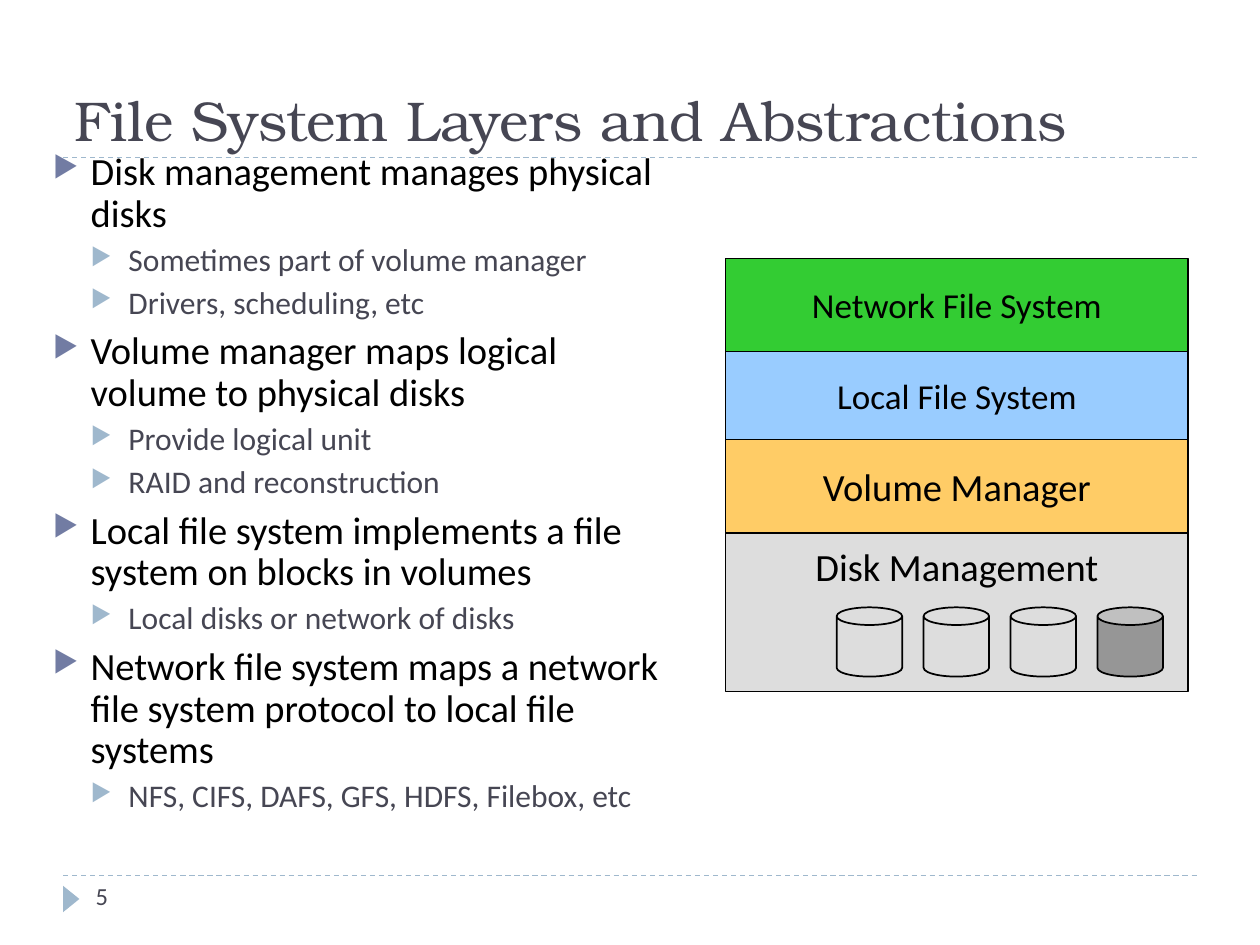
import pptx
import pptx.dml.color
import pptx.enum.dml
import pptx.enum.shapes
import pptx.enum.text
import pptx.oxml.ns
import pptx.util
from lxml import etree

Inches = pptx.util.Inches
Pt = pptx.util.Pt
RGBColor = pptx.dml.color.RGBColor
Shape = pptx.enum.shapes.MSO_SHAPE
Anchor = pptx.enum.text.MSO_ANCHOR
Align = pptx.enum.text.PP_ALIGN
qn = pptx.oxml.ns.qn

BLACK = RGBColor(0x00, 0x00, 0x00)
SLATE = RGBColor(0x46, 0x46, 0x53)
INDIGO = RGBColor(0x72, 0x7C, 0xA3)
PALE_BLUE = RGBColor(0x9F, 0xB8, 0xCD)
GREEN = RGBColor(0x33, 0xCC, 0x33)
SKY = RGBColor(0x99, 0xCC, 0xFF)
ORANGE = RGBColor(0xFF, 0xCC, 0x66)
LIGHT_GREY = RGBColor(0xDD, 0xDD, 0xDD)
DARK_GREY = RGBColor(0x96, 0x96, 0x96)

# Per outline level: size, text colour, bullet colour, space before
LEVELS = [(22, BLACK, INDIGO, 6), (18, SLATE, PALE_BLUE, 5)]

OUTLINE = [
    ("Disk management manages physical disks",
     ["Sometimes part of volume manager", "Drivers, scheduling, etc"]),
    ("Volume manager maps logical volume to physical disks",
     ["Provide logical unit", "RAID and reconstruction"]),
    ("Local file system implements a file system on blocks in volumes",
     ["Local disks or network of disks"]),
    ("Network file system maps a network file system protocol to local file systems",
     ["NFS, CIFS, DAFS, GFS, HDFS, Filebox, etc"]),
]

# Stack from top to bottom: label, height, fill, text size, anchor
LAYERS = [
    ("Network File System", 0.74, GREEN, 20, Anchor.MIDDLE),
    ("Local File System", 0.7, SKY, 20, Anchor.MIDDLE),
    ("Volume Manager", 0.74, ORANGE, 22, Anchor.MIDDLE),
    ("Disk Management", 1.26, LIGHT_GREY, 22, Anchor.TOP),
]


class SlideBuilder:
    body_font = "Calibri"
    title_font = "TeX Gyre Bonum"

    def __init__(self, slide):
        self.slide = slide

    def set_font(self, paragraph, size, color, name=None):
        paragraph.font.name = name or self.body_font
        paragraph.font.size = Pt(size)
        paragraph.font.color.rgb = color

    def set_frame(self, frame, anchor, wrap=True, top=0.04):
        frame.word_wrap = wrap
        frame.vertical_anchor = anchor
        frame.margin_left = frame.margin_right = Inches(0.09)
        frame.margin_top, frame.margin_bottom = Inches(top), Inches(0.04)

    def text_frame(self, left, top, width, height, anchor=Anchor.TOP):
        box = self.slide.shapes.add_textbox(
            Inches(left), Inches(top), Inches(width), Inches(height))
        self.set_frame(box.text_frame, anchor)
        return box.text_frame

    def text(self, words, bounds, size, anchor=Anchor.TOP, font=None):
        paragraph = self.text_frame(*bounds, anchor).paragraphs[0]
        paragraph.text = words
        self.set_font(paragraph, size, SLATE, font)

    def outline(self, topics, bounds):
        frame = self.text_frame(*bounds)
        entries = [entry for topic, details in topics
                   for entry in [(topic, 0)] + [(detail, 1) for detail in details]]
        for index, (words, level) in enumerate(entries):
            paragraph = frame.add_paragraph() if index else frame.paragraphs[0]
            size, color, bullet_color, space = LEVELS[level]
            paragraph.text = words
            paragraph.level = level
            paragraph.line_spacing = 0.9
            paragraph.space_before = Pt(space)
            self.set_font(paragraph, size, color)
            self.bullet(paragraph, level, bullet_color)

    def bullet(self, paragraph, level, color):
        properties = paragraph._p.get_or_add_pPr()
        properties.set("marL", str(Inches(0.3 * (level + 1))))
        properties.set("indent", str(Inches(-0.3)))
        marks = [etree.Element(qn("a:buClr")),
                 etree.Element(qn("a:buSzPct"), val="76000"),
                 etree.Element(qn("a:buChar"), char="▶")]
        etree.SubElement(marks[0], qn("a:srgbClr"), val=str(color))
        defaults = properties.find(qn("a:defRPr"))
        for mark in marks:
            defaults.addprevious(mark)

    def shape(self, kind, left, top, width, height, fill=None, line_width=None):
        shape = self.slide.shapes.add_shape(
            kind, Inches(left), Inches(top), Inches(width), Inches(height))
        shape.shadow.inherit = False
        if fill is None:
            shape.fill.background()
        else:
            shape.fill.solid()
            shape.fill.fore_color.rgb = fill
        if line_width is None:
            shape.line.fill.background()
        else:
            shape.line.color.rgb = BLACK
            shape.line.width = Pt(line_width)
        return shape

    def layer(self, label, bounds, fill, size, anchor):
        block = self.shape(Shape.RECTANGLE, *bounds, fill, 0.75)
        self.set_frame(block.text_frame, anchor, wrap=False,
                       top=0.08 if anchor == Anchor.TOP else 0.04)
        paragraph = block.text_frame.paragraphs[0]
        paragraph.text = label
        paragraph.alignment = Align.CENTER
        self.set_font(paragraph, size, BLACK)

    def disk(self, left, fill=None):
        can = self.shape(Shape.CAN, left, 4.82, 0.52, 0.55, fill, 1)
        can.adjustments[0] = 0.27

    def dashed_rule(self, top):
        rule = self.slide.shapes.add_connector(
            pptx.enum.shapes.MSO_CONNECTOR.STRAIGHT,
            Inches(0.5), Inches(top), Inches(9.5), Inches(top))
        rule.line.color.rgb = PALE_BLUE
        rule.line.width = Pt(0.75)
        rule.line.dash_style = pptx.enum.dml.MSO_LINE.DASH
        etree.SubElement(rule._element.spPr, qn("a:effectLst"))


def main():
    presentation = pptx.Presentation()
    presentation.slide_width, presentation.slide_height = Inches(10), Inches(7.5)
    builder = SlideBuilder(presentation.slides.add_slide(presentation.slide_layouts[6]))

    # Rules and page number
    for rule_top in (6.95, 1.25):
        builder.dashed_rule(rule_top)
    page_marker = builder.shape(Shape.ISOSCELES_TRIANGLE, 0.46, 7.07, 0.21, 0.13, PALE_BLUE)
    page_marker.rotation = 90
    builder.text("5", (0.67, 6.95, 2.17, 0.4), 14)

    # Title and outline
    builder.text("File System Layers and Abstractions", (0.5, 0.17, 9, 1.08), 32,
                 Anchor.BOTTOM, builder.title_font)
    builder.outline(OUTLINE, (0.33, 1.17, 5.16, 5.58))

    # Layer stack
    layer_top = 2.05
    for label, height, fill, size, anchor in LAYERS:
        builder.layer(label, (5.76, layer_top, 3.67, height), fill, size, anchor)
        layer_top += height

    # Disks, the last one shaded
    for index, fill in enumerate([None, None, None, DARK_GREY]):
        builder.disk(6.64 + 0.69 * index, fill)

    presentation.save("out.pptx")


if __name__ == "__main__":
    main()
